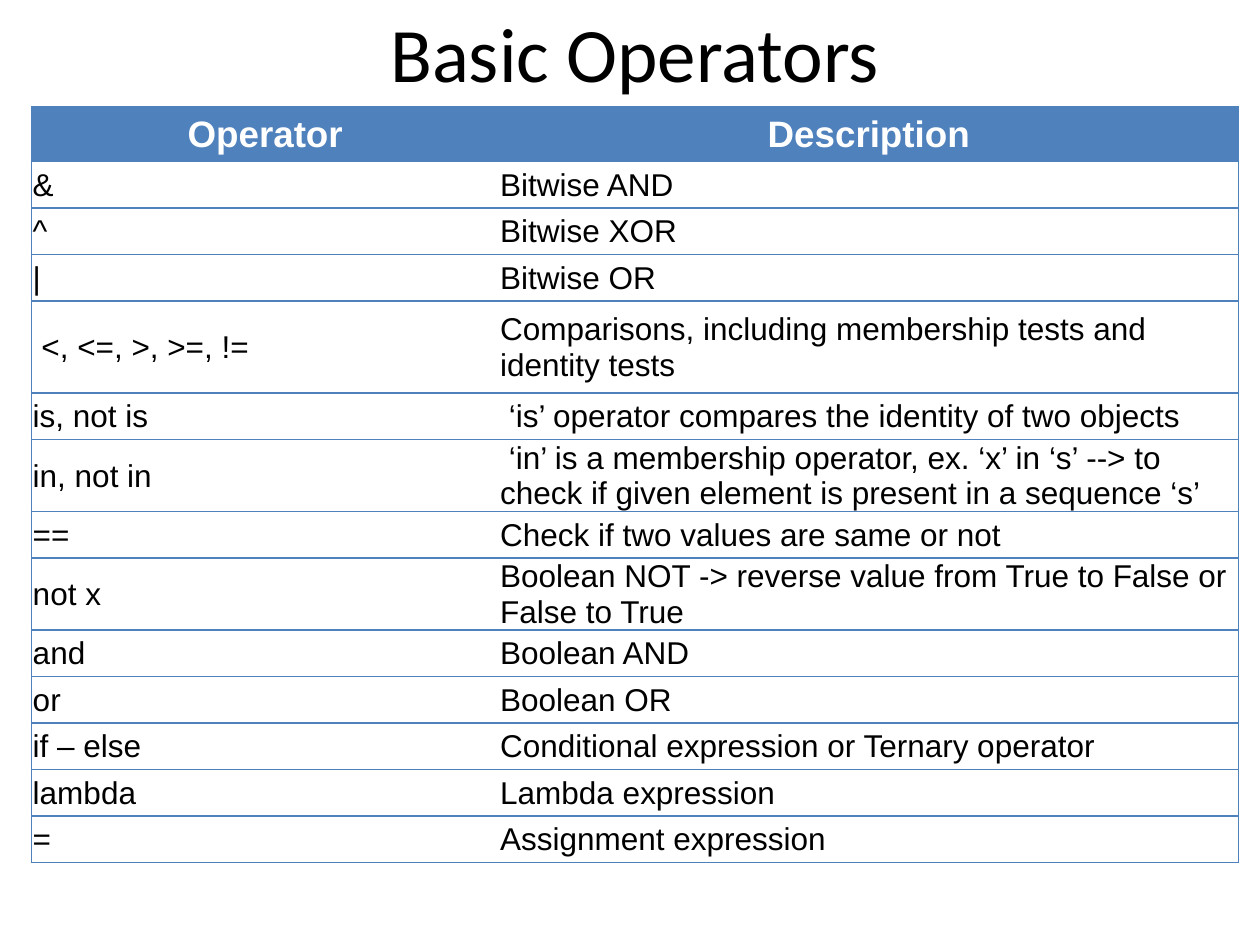
from lxml import etree
from pptx import Presentation
from pptx.dml.color import RGBColor
from pptx.enum.text import MSO_ANCHOR, PP_ALIGN
from pptx.oxml.ns import qn
from pptx.util import Inches, Pt

MIDDLE = MSO_ANCHOR.MIDDLE
LEFT, CENTER = PP_ALIGN.LEFT, PP_ALIGN.CENTER
BLUE, WHITE, BLACK = "4F81BD", "FFFFFF", "000000"
COL_WIDTHS = (3.71, 5.87)
HEADER_H, ROW_H, TALL_H = 0.43, 0.37, 0.73
TALL_ROW = 4
EDGES = (("lnL", "lnT", "lnB"), ("lnR", "lnT", "lnB"))
HEADER_FONT = {"name": "Arial", "size": Pt(21), "bold": True}
BODY_FONT = {"name": "Arial", "size": Pt(18), "bold": False}
TITLE_FONT = {"name": "Calibri", "size": Pt(44), "bold": False}

ROWS = [
    ("Operator", "Description"),
    ("&", "Bitwise AND"),
    ("^", "Bitwise XOR"),
    ("|", "Bitwise OR"),
    (" <, <=, >, >=, !=", "Comparisons, including membership tests and identity tests"),
    ("is, not is", " ‘is’ operator compares the identity of two objects"),
    ("in, not in", " ‘in’ is a membership operator, ex. ‘x’ in ‘s’ --> to check "
                   "if given element is present in a sequence ‘s’"),
    ("==", "Check if two values are same or not"),
    ("not x", "Boolean NOT -> reverse value from True to False or False to True"),
    ("and", "Boolean AND"),
    ("or", "Boolean OR"),
    ("if – else", "Conditional expression or Ternary operator"),
    ("lambda", "Lambda expression"),
    ("=", "Assignment expression"),
]


def rgb(value):
    return RGBColor.from_string(value)


def set_attrs(obj, values):
    for name, value in values.items():
        setattr(obj, name, value)


def write(tf, text, font, color, align):
    p = tf.paragraphs[0]
    p.alignment = align
    r = p.add_run()
    r.text = text
    set_attrs(r.font, font)
    r.font.color.rgb = rgb(color)
    return p


def set_borders(cell, edges):
    tcPr = cell._tc.get_or_add_tcPr()
    for i, tag in enumerate(("lnL", "lnR", "lnT", "lnB")):
        ln = etree.Element(qn(f"a:{tag}"), w=str(Pt(1)))
        if tag in edges:
            fill = etree.SubElement(ln, qn("a:solidFill"))
            etree.SubElement(fill, qn("a:srgbClr"), val=BLUE)
        else:
            etree.SubElement(ln, qn("a:noFill"))
        tcPr.insert(i, ln)


def add_title(s, text, left, top, width, height):
    sp = s.shapes.title
    set_attrs(sp, {"left": Inches(left), "top": Inches(top),
                   "width": Inches(width), "height": Inches(height)})
    tf = sp.text_frame
    set_attrs(tf, {"vertical_anchor": MIDDLE, "word_wrap": True,
                   "margin_left": Inches(0.07), "margin_right": Inches(0.07),
                   "margin_top": Inches(0.04), "margin_bottom": Inches(0.04)})
    write(tf, text, TITLE_FONT, BLACK, CENTER).line_spacing = 0.9


def add_operator_table(s, left, top, width):
    heights = [ROW_H] * len(ROWS)
    heights[0], heights[TALL_ROW] = HEADER_H, TALL_H
    frame = s.shapes.add_table(len(ROWS), len(COL_WIDTHS), Inches(left), Inches(top),
                               Inches(width), Inches(sum(heights)))
    table = frame.table
    table.horz_banding = False
    for col, share in zip(table.columns, COL_WIDTHS):
        col.width = Inches(width * share / sum(COL_WIDTHS))
    for i, texts in enumerate(ROWS):
        table.rows[i].height = Inches(heights[i])
        font, color, back, align = (
            (BODY_FONT, BLACK, WHITE, LEFT) if i else (HEADER_FONT, WHITE, BLUE, CENTER))
        for j, text in enumerate(texts):
            cell = table.cell(i, j)
            set_attrs(cell, {"vertical_anchor": MIDDLE, "margin_left": Inches(0.01),
                             "margin_right": Inches(0.01), "margin_top": Inches(0.01),
                             "margin_bottom": 0})
            cell.fill.solid()
            cell.fill.fore_color.rgb = rgb(back)
            set_borders(cell, EDGES[j])
            write(cell.text_frame, text, font, color, align)


def main():
    prs = Presentation()
    prs.slide_width, prs.slide_height = Inches(10), Inches(7.5)
    s = prs.slides.add_slide(prs.slide_layouts[5])
    add_title(s, "Basic Operators", 0.73, 0.08, 8.62, 0.75)
    add_operator_table(s, 0.25, 0.85, sum(COL_WIDTHS))
    prs.save("out.pptx")


if __name__ == "__main__":
    main()
